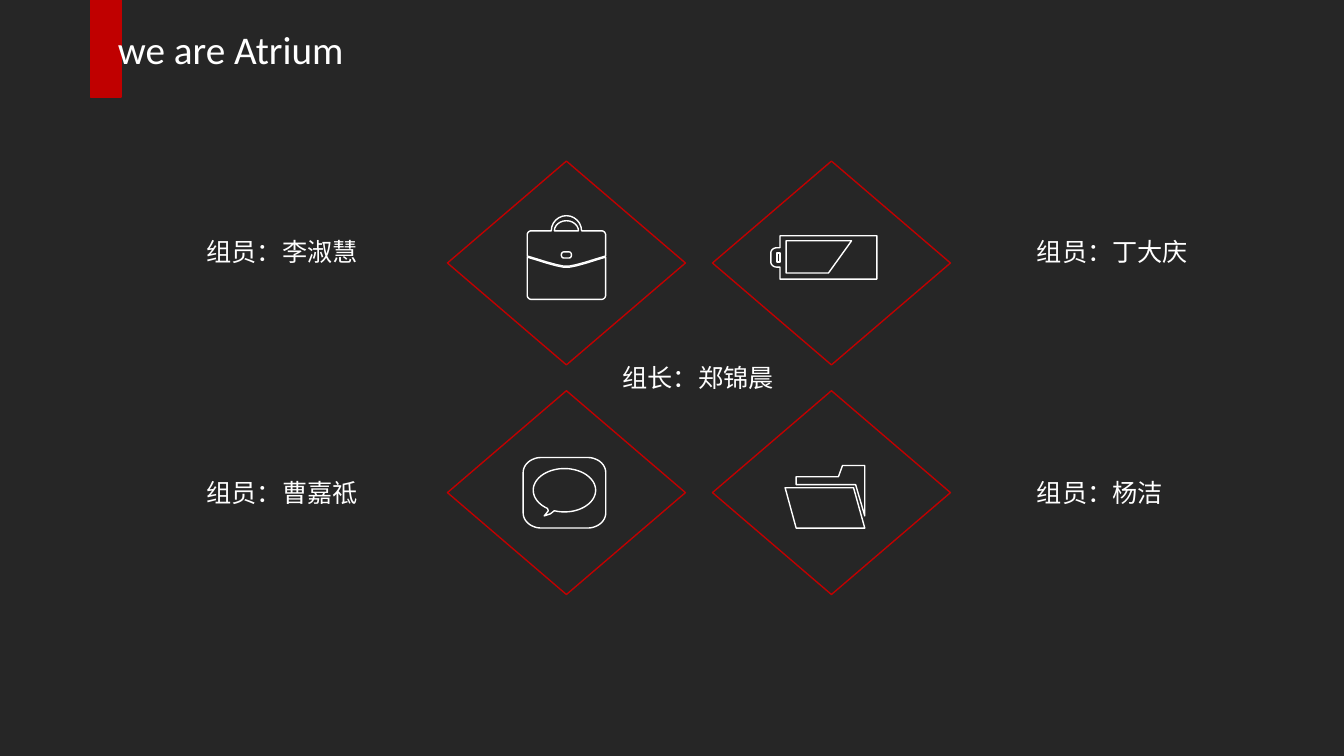
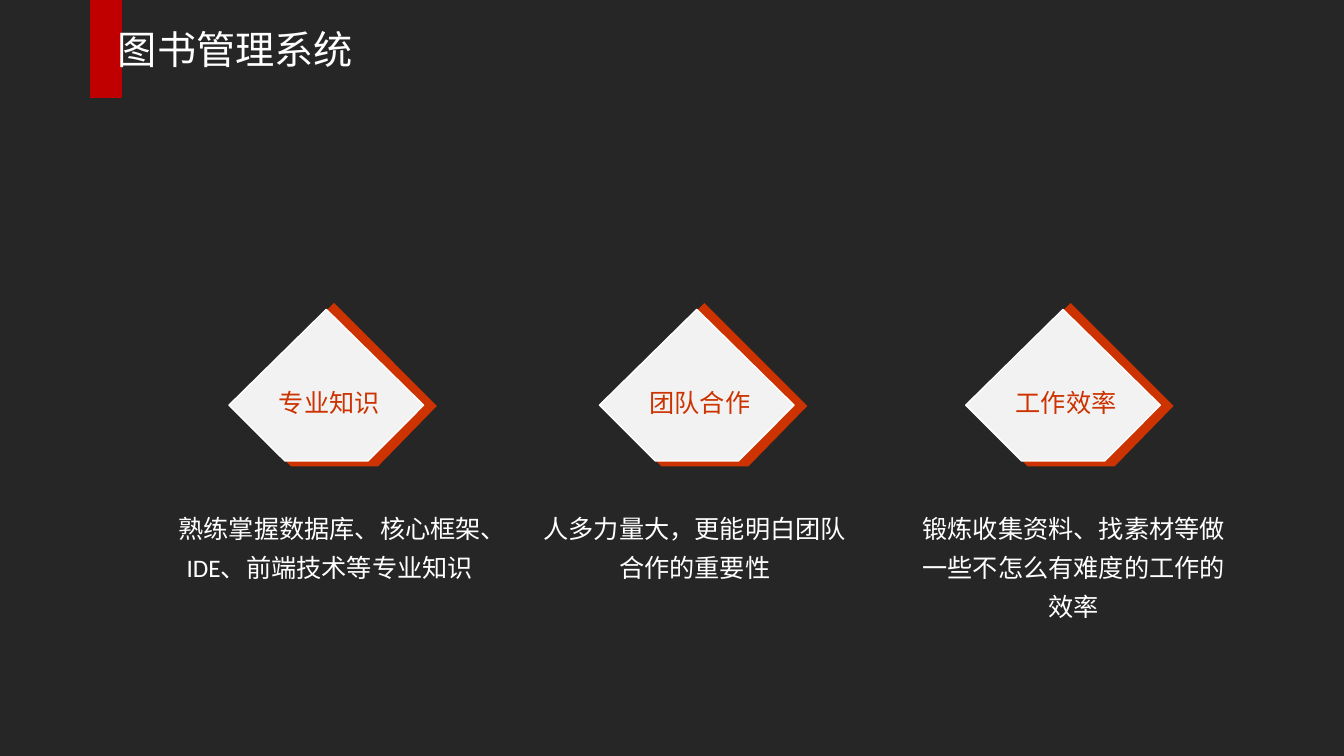
from itertools import product
from math import cos, radians, sin

from pptx import Presentation
from pptx.dml.color import RGBColor
from pptx.enum.shapes import MSO_SHAPE as Preset
from pptx.enum.text import MSO_ANCHOR as Anchor, PP_ALIGN as Align
from pptx.util import Pt

CHARCOAL = RGBColor(0x26, 0x26, 0x26)
CRIMSON = RGBColor(0xC0, 0x00, 0x00)
ORANGE = RGBColor(0xCC, 0x33, 0x00)
PALE = RGBColor(0xF2, 0xF2, 0xF2)
WHITE = RGBColor(0xFF, 0xFF, 0xFF)
FONT = "Calibri"


class Deck:
    """Holds the shared style and the current page."""

    def __init__(self):
        self.file = Presentation()
        self.file.slide_width, self.file.slide_height = Pt(960), Pt(540)
        self.page = None

    def add_page(self, title):
        self.page = self.file.slides.add_slide(self.file.slide_layouts[6])
        backdrop = self.page.background.fill
        backdrop.solid()
        backdrop.fore_color.rgb = CHARCOAL
        self.preset(Preset.RECTANGLE, 64.6, 0, 22, 69.4, CRIMSON, CRIMSON)
        self.text(title, 77.2, 14.4, 234, 41, size=28)

    def paint(self, shape, fill, line):
        shape.shadow.inherit = False
        if fill is None:
            shape.fill.background()
        else:
            shape.fill.solid()
            shape.fill.fore_color.rgb = fill
        if line is None:
            shape.line.fill.background()
        else:
            shape.line.color.rgb = line
            shape.line.width = Pt(1)

    def preset(self, kind, left, top, width, height, fill=None, line=None):
        shape = self.page.shapes.add_shape(
            kind, Pt(left), Pt(top), Pt(width), Pt(height))
        self.paint(shape, fill, line)

    def outline(self, contours, x=0, y=0, fill=None, line=None):
        """Draw closed contours, given relative to the point x, y."""
        builder = None
        for contour in contours:
            first, *rest = [(Pt(x + dx), Pt(y + dy)) for dx, dy in contour]
            if builder is None:
                builder = self.page.shapes.build_freeform(*first, scale=1.0)
            else:
                builder.move_to(*first)
            builder.add_line_segments(rest, close=True)
        shape = builder.convert_to_shape()
        self.paint(shape, fill, line)
        return shape

    def fill_frame(self, frame, words, size=18, color=WHITE, align=Align.LEFT,
                   spacing=None):
        frame.word_wrap = True
        para = frame.paragraphs[0]
        para.alignment = align
        if spacing:
            para.line_spacing = spacing
        span = para.add_run()
        span.text = words
        span.font.name, span.font.size = FONT, Pt(size)
        span.font.color.rgb = color

    def text(self, words, left, top, width, height, **style):
        box = self.page.shapes.add_textbox(
            Pt(left), Pt(top), Pt(width), Pt(height))
        self.fill_frame(box.text_frame, words, **style)

    def badge(self, label, left):
        """A pale pentagon with an orange one showing behind it."""
        self.outline([BADGE_BACK], left, 216.4, fill=ORANGE)
        face = self.outline([BADGE_FACE], left, 221, fill=PALE, line=WHITE)
        frame = face.text_frame
        frame.margin_left, frame.margin_top = Pt(11.5), Pt(28)
        frame.margin_right, frame.margin_bottom = Pt(7.2), Pt(3.6)
        frame.vertical_anchor = Anchor.MIDDLE
        self.fill_frame(frame, label, color=ORANGE, align=Align.CENTER)


def arc(x, y, rx, ry, start, end, steps=12):
    """Points on an ellipse; angles in degrees, clockwise from the right."""
    angles = [radians(start + (end - start) * i / steps)
              for i in range(steps + 1)]
    return [(x + rx * cos(a), y + ry * sin(a)) for a in angles]


def rounded(left, top, right, bottom, rx, ry):
    """Rectangle with four elliptical corners."""
    corners = [(right - rx, bottom - ry), (left + rx, bottom - ry),
               (left + rx, top + ry), (right - rx, top + ry)]
    return [point for i, (x, y) in enumerate(corners)
            for point in arc(x, y, rx, ry, 90 * i, 90 * i + 90)]


def rectangle(left, top, right, bottom):
    return [(left, top), (right, top), (right, bottom), (left, bottom)]


# Badge outlines, relative to the left end and the top
BADGE_FACE = [(69.5, 0), (139, 68.4), (99.3, 108.3), (40, 108.3), (0, 68.4)]
BADGE_BACK = [(75, 0), (148.5, 73.6), (106.4, 116.8), (44.3, 116.8),
              (1.2, 73.6)]

# Icon outlines, relative to the centre of their diamond
HALF_SEAM = [(-28, -5), (-21, -2.9), (-14, -0.7), (-7, 1.2), (-2, 2.2)]
SEAM = HALF_SEAM + [(-x, y) for x, y in reversed(HALF_SEAM)]
BRIEFCASE = [
    [(x, y + 0.8) for x, y in SEAM]
    + arc(25, 23, 3, 3, 0, 90) + arc(-25, 23, 3, 3, 90, 180),
    rounded(-3.6, -7.9, 3.6, -3.6, 1.6, 2.1),
    arc(0, -23, 8.6, 7.2, 0, -180),
    SEAM + arc(25, -20, 3, 3, 0, -90) + arc(0, -23, 10.8, 10.8, 0, -180)
    + arc(-25, -20, 3, 3, -90, -180),
]
BATTERY = [
    rectangle(-39, -7.2, -36.7, -0.8),
    [(-32.4, -15.9), (14.4, -15.9), (-2.1, 7.1), (-32.4, 7.1)],
    [(-36.7, -19.5), (32.4, -19.5), (32.4, 11.5), (-36.7, 11.5), (-36.7, 2.9)]
    + arc(-39, -0.8, 4.3, 3.7, 90, 180) + arc(-39, -7.2, 4.3, 3.7, 180, 270)
    + [(-36.7, -10.9)],
]
CHAT = [
    arc(-1.4, -1.7, 22.3, 15.5, 109, -237, 60)
    + [(-12.9, 13), (-15.8, 16.6), (-11.5, 15.2)],
    rounded(-30.9, -25.1, 28.1, 25.3, 13, 10.8),
]
FOLDER = [
    [(-33.1, -3.5), (15.8, -3.5), (23.8, 25.3), (-25.2, 25.3)],
    [(7.9, -19.4), (23.8, -19.4), (23.8, 16.6), (17.3, -5.7), (-25.2, -5.7),
     (-25.2, -11.4), (5, -11.4)],
]


def team_page(deck):
    deck.add_page("we are Atrium")

    # Two by two diamonds with icons
    width, height = 170, 145.6
    centres = product((187.9, 351.9), (404.6, 593.9))
    for (y, x), icon in zip(centres, (BRIEFCASE, BATTERY, CHAT, FOLDER)):
        deck.preset(Preset.DIAMOND, x - width / 2, y - height / 2,
                    width, height, line=CRIMSON)
        deck.outline(icon, x, y, line=WHITE)

    # Members at the sides, leader in the middle
    members = ("李淑慧", "丁大庆", "曹嘉祗", "杨洁")
    for (top, left), name in zip(product((165, 337.5), (140.4, 733.5)),
                                 members):
        deck.text("组员：" + name, left, top, 131, 29)
    deck.text("组长：郑锦晨", 437.5, 255.3, 123, 29)


def gains_page(deck):
    deck.add_page("图书管理系统")

    # Badge left, text left, label, text
    gains = [
        (163.6, 115.9, "专业知识",
         "熟练掌握数据库、核心框架、IDE、前端技术等专业知识"),
        (428.2, 376.6, "团队合作", "人多力量大，更能明白团队合作的重要性"),
        (689.8, 647.3, "工作效率",
         "锻炼收集资料、找素材等做一些不怎么有难度的工作的效率"),
    ]
    for badge_left, text_left, label, words in gains:
        deck.badge(label, badge_left)
        deck.text(words, text_left, 356.4, 239.3, 117.4,
                  align=Align.CENTER, spacing=1.3)


def main():
    deck = Deck()
    team_page(deck)
    gains_page(deck)
    deck.file.save("out.pptx")


if __name__ == "__main__":
    main()
